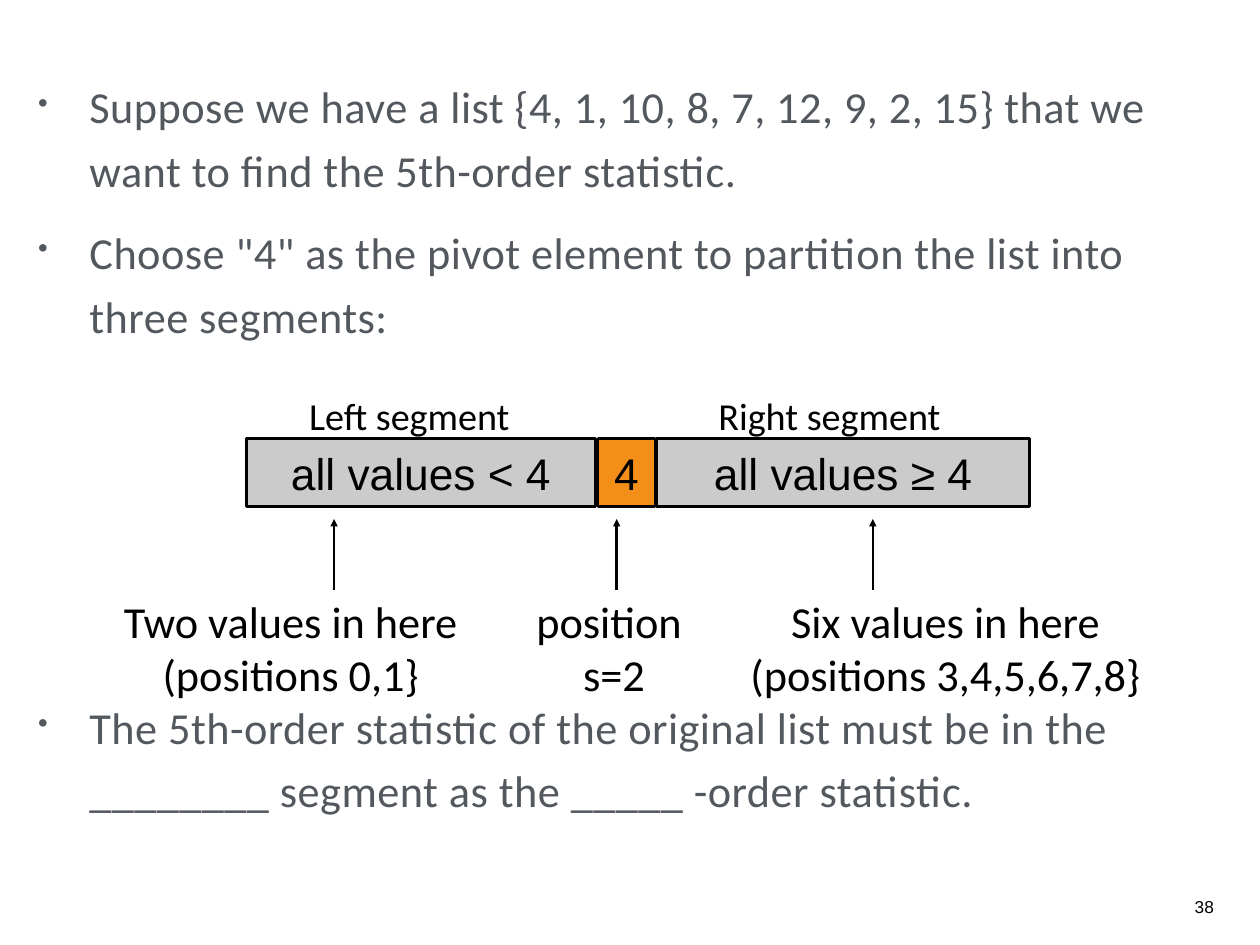
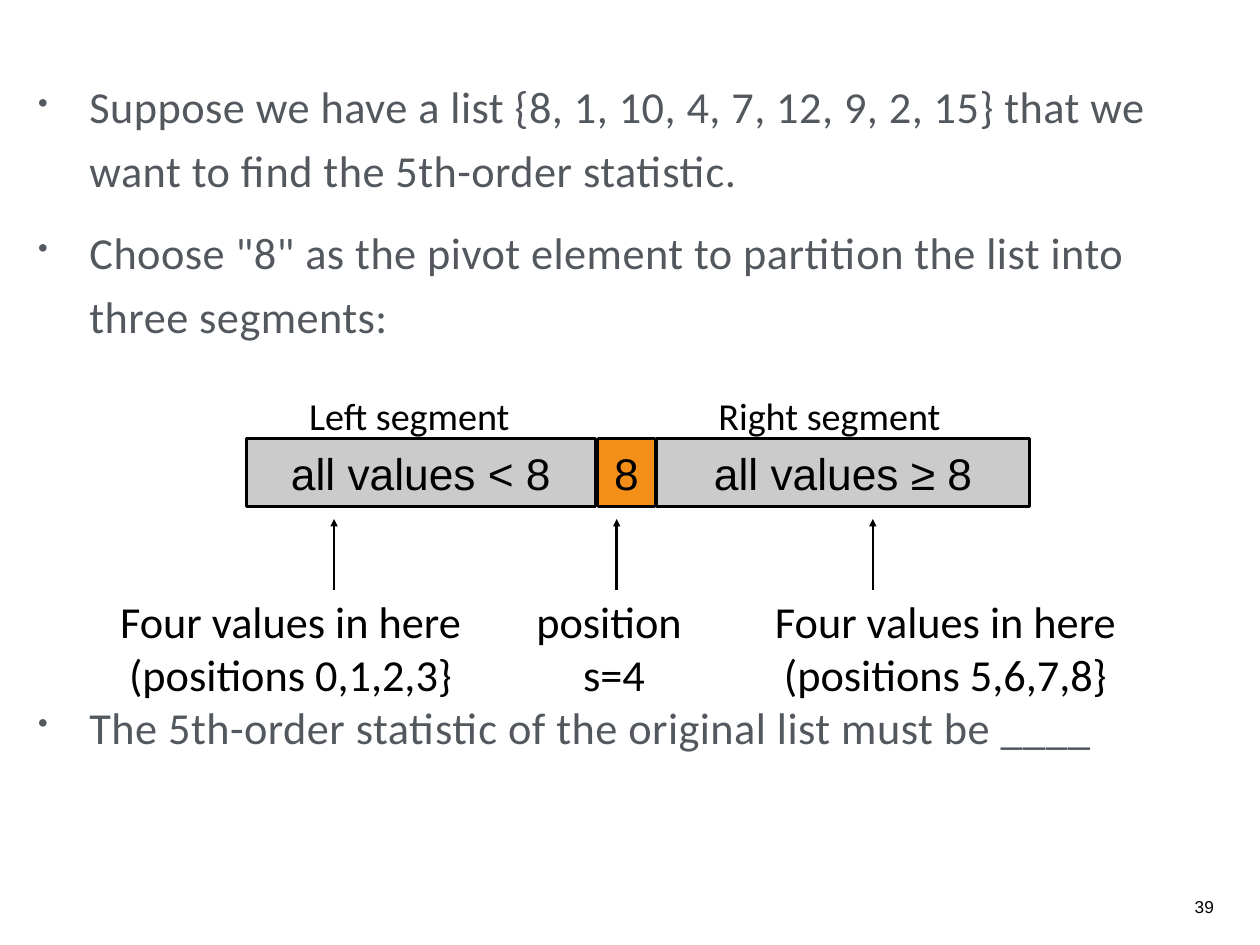
from dataclasses import dataclass

from lxml import etree
from pptx import Presentation, util as u
from pptx.dml.color import RGBColor
from pptx.enum import shapes, text
from pptx.oxml import ns

SCALE = 9144  # EMU per px, 100 px to the inch
INK, BODY, GREY, ORANGE = "000000", "53585F", "CBCBCB", "F38F18"
SANS, HUMANIST = "Arial", "Calibri"
TEXT_SIZE, LABEL_SIZE, NUMBER_SIZE = 36, 31, 14
INSET = 6
INDENT = 58
PARA_GAP, DIAGRAM_GAP = 15, 282  # points above a paragraph
BAR_TOP, BAR_HEIGHT = 495, 77
LABEL_TOP, LABEL_HEIGHT = 434, 69
CAPTION_TOP, CAPTION_HEIGHT = 657, 147
ARROW_START, ARROW_END = 666, 586
ALIGN = text.PP_ALIGN


@dataclass(frozen=True)
class Segment:
    """One part of the bar, with its arrow and the caption below it."""
    left: int
    width: int
    fill: str
    pattern: str
    arrow_x: int
    caption_x: int
    caption_width: int


@dataclass(frozen=True)
class Label:
    center: int
    width: int
    words: str


@dataclass(frozen=True)
class Example:
    number: int
    pivot: int
    values: str
    captions: tuple[tuple[str, str], ...]
    conclusion: str


SEGMENTS = (
    Segment(278, 394, GREY, "all values < {}", 377, 328, 420),
    Segment(675, 64, ORANGE, "{}", 696, 693, 200),
    Segment(741, 421, GREY, "all values ≥ {}", 985, 1067, 480),
)
LABELS = (Label(462, 262, "Left segment"), Label(936, 292, "Right segment"))
EXAMPLES = (
    Example(38, 4, "4, 1, 10, 8, 7, 12, 9, 2, 15",
            (("Two values in here", "(positions 0,1}"),
             ("position ", "s=2"),
             ("Six values in here", "(positions 3,4,5,6,7,8}")),
            "The 5th-order statistic of the original list must be in the "
            "________ segment as the _____ -order statistic."),
    Example(39, 8, "8, 1, 10, 4, 7, 12, 9, 2, 15",
            (("Four values in here", "(positions 0,1,2,3}"),
             ("position ", "s=4"),
             ("Four values in here", "(positions 5,6,7,8}")),
            "The 5th-order statistic of the original list must be ____"),
)


def px(length: int) -> u.Emu:
    return u.Emu(length * SCALE)


def rgb(value: str) -> RGBColor:
    return RGBColor.from_string(value)


def add_span(para, words: str, size: int, font: str, color: str):
    span = para.add_run()
    span.text = words
    span.font.size = u.Pt(size)
    span.font.name = font
    span.font.color.rgb = rgb(color)
    return span


def prepare_frame(box, inset: int, anchor):
    frame = box.text_frame
    frame.word_wrap = True
    frame.vertical_anchor = anchor
    frame.margin_left = frame.margin_right = px(inset)
    frame.margin_top = frame.margin_bottom = px(inset)
    return frame


def write_lines(box, lines: tuple[str, ...], size: int, font: str,
                align=ALIGN.CENTER, anchor=text.MSO_ANCHOR.MIDDLE) -> None:
    frame = prepare_frame(box, INSET, anchor)
    for index, words in enumerate(lines):
        para = frame.add_paragraph() if index else frame.paragraphs[0]
        para.alignment = align
        add_span(para, words, size, font, INK)


def add_box(page, left: int, top: int, width: int, height: int):
    return page.shapes.add_textbox(px(left), px(top), px(width), px(height))


def add_centered(page, center: int, top: int, width: int, height: int,
                 lines: tuple[str, ...], size: int) -> None:
    box = add_box(page, center - width // 2, top, width, height)
    write_lines(box, lines, size, HUMANIST)


def add_bullets(page, example: Example) -> None:
    bullets = (
        (f"Suppose we have a list {{{example.values}}} that we want to find "
         "the 5th-order statistic.", PARA_GAP),
        (f'Choose "{example.pivot}" as the pivot element to partition the '
         "list into three segments:", PARA_GAP),
        (example.conclusion, DIAGRAM_GAP),
    )
    box = add_box(page, 43, 78, 1340, 944)
    frame = prepare_frame(box, 0, text.MSO_ANCHOR.TOP)
    for index, (words, gap) in enumerate(bullets):
        para = frame.add_paragraph() if index else frame.paragraphs[0]
        para.line_spacing = 1.2
        para.space_before = u.Pt(gap)
        span = add_span(para, words, TEXT_SIZE, HUMANIST, BODY)
        span.font._element.set("spc", "40")
        props = para._p.get_or_add_pPr()
        props.set("marL", str(px(INDENT)))
        props.set("indent", str(-px(INDENT)))
        etree.SubElement(props, ns.qn("a:buSzPct"), val="65000")
        etree.SubElement(props, ns.qn("a:buChar"), char="•")


def add_arrow(page, x: int) -> None:
    arrow = page.shapes.add_connector(
        shapes.MSO_CONNECTOR.STRAIGHT,
        px(x), px(ARROW_START), px(x), px(ARROW_END))
    arrow.line.color.rgb = rgb(INK)
    arrow.line.width = u.Pt(2)
    etree.SubElement(arrow.line._get_or_add_ln(), ns.qn("a:tailEnd"),
                     type="triangle")
    etree.SubElement(arrow._element.spPr, ns.qn("a:effectLst"))


def add_segment(page, segment: Segment, pivot: int,
                caption: tuple[str, str]) -> None:
    bar = page.shapes.add_shape(
        shapes.MSO_SHAPE.RECTANGLE, px(segment.left), px(BAR_TOP),
        px(segment.width), px(BAR_HEIGHT))
    bar.shadow.inherit = False
    bar.fill.solid()
    bar.fill.fore_color.rgb = rgb(segment.fill)
    bar.line.color.rgb = rgb(INK)
    bar.line.width = u.Pt(2)
    write_lines(bar, (segment.pattern.format(pivot),), TEXT_SIZE, SANS)
    add_arrow(page, segment.arrow_x)
    add_centered(page, segment.caption_x, CAPTION_TOP, segment.caption_width,
                 CAPTION_HEIGHT, caption, TEXT_SIZE)


def add_page(deck, example: Example) -> None:
    page = deck.slides.add_slide(deck.slide_layouts[6])
    add_bullets(page, example)
    number_box = add_box(page, 1326, 1006, 50, 33)
    write_lines(number_box, (str(example.number),), NUMBER_SIZE, SANS,
                ALIGN.RIGHT, text.MSO_ANCHOR.TOP)
    for segment, caption in zip(SEGMENTS, example.captions):
        add_segment(page, segment, example.pivot, caption)
    for label in LABELS:
        add_centered(page, label.center, LABEL_TOP, label.width, LABEL_HEIGHT,
                     (label.words,), LABEL_SIZE)


def main() -> None:
    deck = Presentation()
    deck.slide_width, deck.slide_height = px(1422), px(1067)
    for example in EXAMPLES:
        add_page(deck, example)
    deck.save("out.pptx")


if __name__ == "__main__":
    main()
